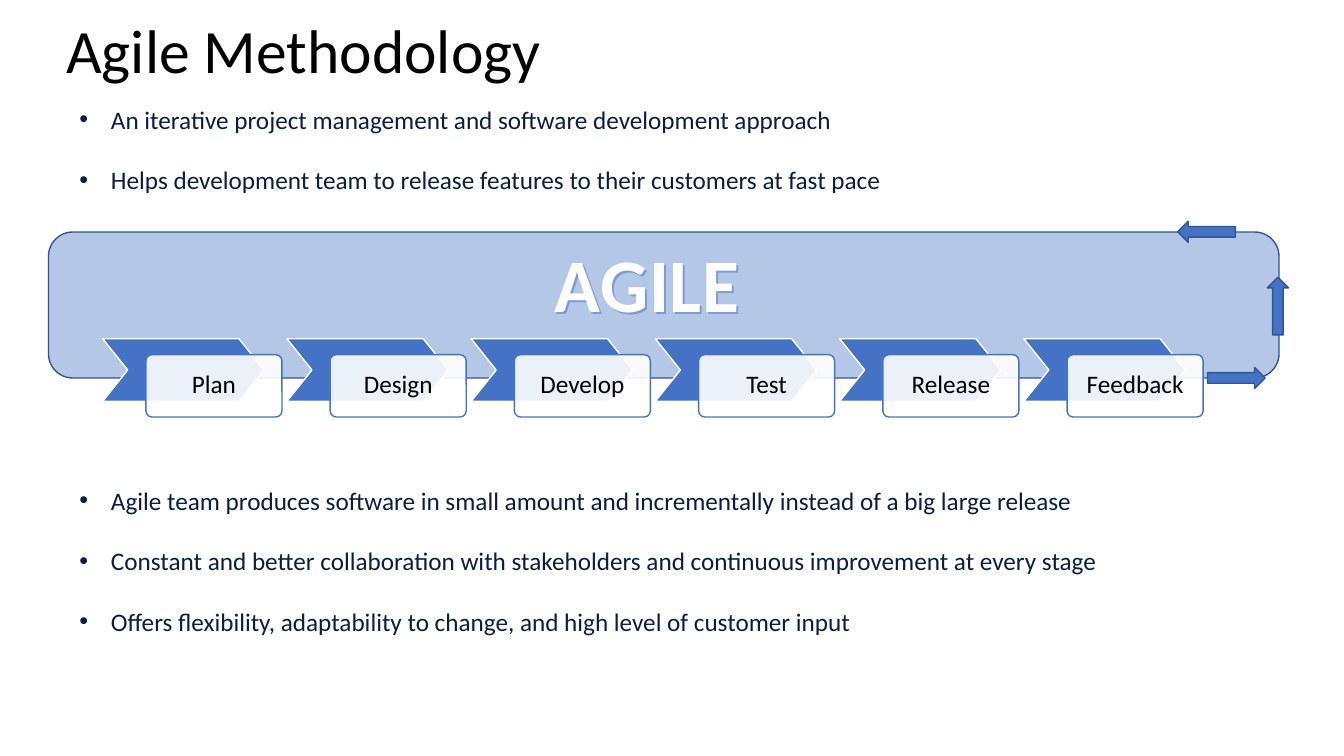
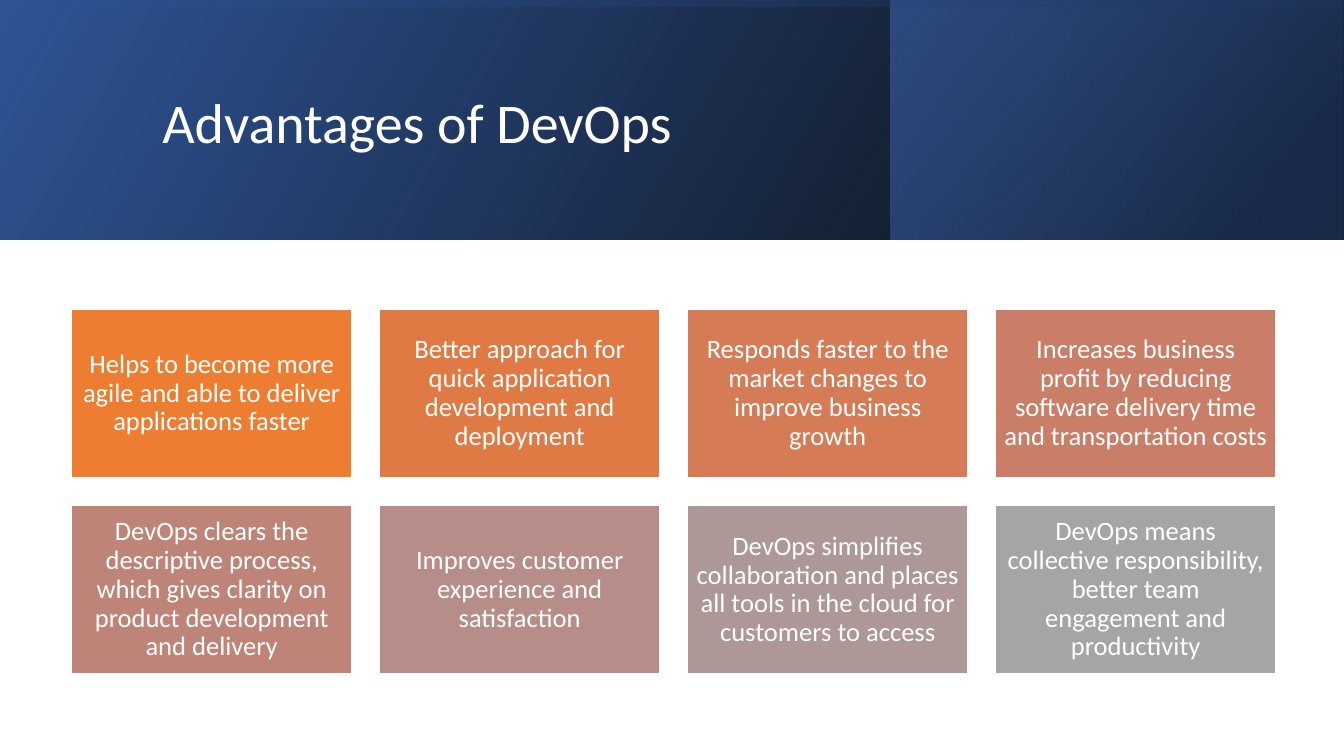
from dataclasses import dataclass

from lxml.etree import SubElement
from pptx import Presentation
from pptx.dml.color import RGBColor
from pptx.enum.shapes import MSO_SHAPE
from pptx.enum.text import MSO_ANCHOR, MSO_AUTO_SIZE, PP_ALIGN
from pptx.oxml.ns import qn
from pptx.util import Pt


@dataclass(frozen=True)
class Theme:
    font: str = "Calibri"
    black: str = "000000"
    white: str = "FFFFFF"
    ink: str = "091E42"
    blue: str = "4472C4"
    pale: str = "B4C7E7"
    edge: str = "2F5597"
    rim: str = "325491"
    navy: str = "203864"
    logo: str = "FEFEFE"
    tiles: tuple = ("ED7D31", "E07A44", "D57B56", "CA7E67",
                    "BF8478", "B68D88", "AD9897", "A5A5A5")
    head: int = 44
    title: int = 40
    word: int = 54
    body: int = 18
    tile: int = 19


theme = Theme()
rgb = RGBColor.from_string


def draw(slide, kind, box, fill, line=None):
    """Add a preset shape; a list of (position, colour, opacity) is a gradient."""
    shape = slide.shapes.add_shape(kind, *map(Pt, box))
    shape.shadow.inherit = False
    if isinstance(fill, str):
        shape.fill.solid()
        shape.fill.fore_color.rgb = rgb(fill)
    else:
        shape.fill.gradient()
        shape.fill.gradient_angle = 145
        for stop, (place, tone, _) in zip(shape.fill.gradient_stops, fill):
            stop.position = place
            stop.color.rgb = rgb(tone)
        nodes = shape._element.spPr.iter(qn("a:srgbClr"))
        for node, (_, _, solid) in zip(nodes, fill):
            SubElement(node, qn("a:alpha"), val=str(solid * 1000))
    if line:
        shape.line.color.rgb = rgb(line)
        shape.line.width = Pt(1)
    else:
        shape.line.fill.background()
    return shape


def write(shape, text, size, tone, align=PP_ALIGN.LEFT, anchor=MSO_ANCHOR.TOP,
          pad=None, space=None):
    """Fill the first paragraph of a shape and return it."""
    frame = shape.text_frame
    frame.word_wrap = True
    frame.auto_size = MSO_AUTO_SIZE.NONE
    frame.vertical_anchor = anchor
    if pad is not None:
        frame.margin_left = frame.margin_right = Pt(pad)
        frame.margin_top = frame.margin_bottom = Pt(pad)
    para = frame.paragraphs[0]
    para.alignment = align
    if space:
        para.line_spacing = space
    run = para.add_run()
    run.text = text
    run.font.name = theme.font
    run.font.size = Pt(size)
    run.font.color.rgb = rgb(tone)
    return para


deck = Presentation()
deck.slide_width, deck.slide_height = Pt(960), Pt(540)
layout = deck.slide_layouts[5]

# Agile Methodology
slide = deck.slides.add_slide(layout)
title = slide.shapes.title
title.left, title.top, title.width, title.height = map(Pt, (40.2, 5, 879, 60.5))
write(title, "Agile Methodology", theme.head, theme.black)

draw(slide, MSO_SHAPE.ROUNDED_RECTANGLE, (34.6, 165.7, 879, 104.3),
     theme.pale, theme.edge)

steps = ("Plan", "Design", "Develop", "Test", "Release", "Feedback")
for index, step in enumerate(steps):
    left = 73.4 + index * 131.6
    arrow = draw(slide, MSO_SHAPE.CHEVRON, (left, 242, 115.2, 44.6),
                 theme.blue, theme.white)
    arrow.adjustments[0] = 0.4
    card = draw(slide, MSO_SHAPE.ROUNDED_RECTANGLE, (left + 30.8, 253.3, 97.2, 44.6),
                theme.white)
    card.adjustments[0] = 0.1
    tint = next(card._element.spPr.iter(qn("a:srgbClr")))
    SubElement(tint, qn("a:alpha"), val="90000")
    card.line.color.rgb = rgb(theme.blue)
    card.line.width = Pt(1)
    write(card, step, theme.body, theme.black, PP_ALIGN.CENTER,
          MSO_ANCHOR.MIDDLE, 5, 0.9)

word = slide.shapes.add_textbox(Pt(388), Pt(165.7), Pt(148.5), Pt(72.7))
para = write(word, "AGILE", theme.word, theme.logo, PP_ALIGN.CENTER)
word.text_frame.word_wrap = False
font = para.runs[0].font
font.bold = True
props = font._element
props.set("spc", "50")
rim = SubElement(props, qn("a:ln"), w="9525")
fill = SubElement(rim, qn("a:solidFill"))
SubElement(fill, qn("a:srgbClr"), val=theme.blue)
props.insert(0, rim)
glow = SubElement(word._element.spPr, qn("a:effectLst"))
cast = SubElement(glow, qn("a:outerShdw"), dist="25400", dir="2700000")
tint = SubElement(cast, qn("a:srgbClr"), val=theme.blue)
SubElement(tint, qn("a:alpha"), val="50000")

for left, top, turn in ((862.5, 262.4, 0), (841.2, 158, 180), (892.2, 211.1, 270)):
    arrow = draw(slide, MSO_SHAPE.RIGHT_ARROW, (left, top, 41.2, 15.1),
                 theme.blue, theme.rim)
    arrow.rotation = turn

lists = (
    (70.6, 72.7, (
        "An iterative project management and software development approach",
        "Helps development team to release features to their customers at fast pace",
    )),
    (342.9, 116.6, (
        "Agile team produces software in small amount and incrementally instead of a big large release",
        "Constant and better collaboration with stakeholders and continuous improvement at every stage",
        "Offers flexibility, adaptability to change, and high level of customer input",
    )),
)
for top, height, lines in lists:
    box = slide.shapes.add_textbox(Pt(49.7), Pt(top), Pt(860.4), Pt(height))
    frame = box.text_frame
    frame.word_wrap = True
    for index, line in enumerate(lines):
        para = frame.add_paragraph() if index else frame.paragraphs[0]
        props = para._p.get_or_add_pPr()
        props.set("marL", str(Pt(22.5)))
        props.set("indent", str(Pt(-22.5)))
        SubElement(props, qn("a:buFont"), typeface="Arial")
        SubElement(props, qn("a:buChar"), char="•")
        if index:
            para.space_before = Pt(21.6)
        run = para.add_run()
        run.text = line
        run.font.name = theme.font
        run.font.size = Pt(theme.body)
        run.font.color.rgb = rgb(theme.ink)

# Advantages of DevOps
slide = deck.slides.add_slide(layout)
bands = (
    ((0, 0, 960, 170.9), ((0, theme.black, 96), (1, theme.edge, 100))),
    ((636, 0, 323.3, 170.9), ((0.19, theme.navy, 68), (1, theme.blue, 48))),
    ((0, 0, 960, 5), ((0, theme.navy, 30), (1, theme.edge, 30))),
)
for (box, fill), angle in zip(bands, (150, 140, 180)):
    band = draw(slide, MSO_SHAPE.RECTANGLE, box, fill)
    band.fill.gradient_angle = angle

title = slide.shapes.title
title.left, title.top, title.width, title.height = map(Pt, (108.7, 27.4, 765.4, 123.8))
write(title, "Advantages of DevOps", theme.title, theme.white,
      anchor=MSO_ANCHOR.MIDDLE, space=0.9)
slide.shapes._spTree.append(title._element)

gains = (
    "Helps to become more agile and able to deliver applications faster",
    "Better approach for quick application development and deployment",
    "Responds faster to the market changes to improve business growth",
    "Increases business profit by reducing software delivery time and transportation costs",
    "DevOps clears the descriptive process, which gives clarity on product development and delivery",
    "Improves customer experience and satisfaction",
    "DevOps simplifies collaboration and places all tools in the cloud for customers to access",
    "DevOps means collective responsibility, better team engagement and productivity",
)
for index, (gain, tone) in enumerate(zip(gains, theme.tiles)):
    row, col = divmod(index, 4)
    tile = draw(slide, MSO_SHAPE.RECTANGLE,
                (51.1 + col * 220, 221 + row * 140.2, 200.2, 120.2),
                tone, theme.white)
    write(tile, gain, theme.tile, theme.white, PP_ALIGN.CENTER,
          MSO_ANCHOR.MIDDLE, 5.7, 0.9)

deck.save("out.pptx")
